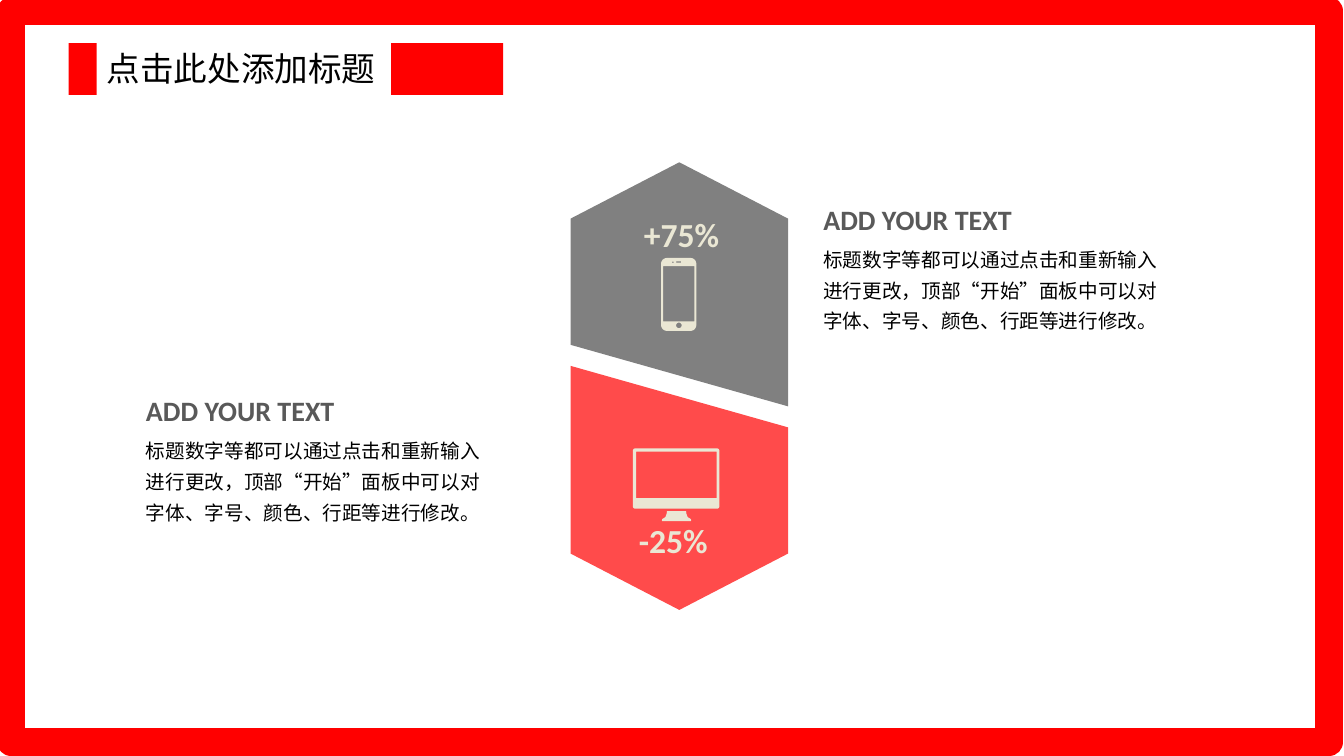
from math import cos, pi, sin

from lxml import etree
from pptx import Presentation
from pptx import util as u
from pptx.dml.color import RGBColor
from pptx.enum import shapes, text
from pptx.oxml import ns

RED = RGBColor(0xFF, 0, 0)
CORAL = RGBColor(0xFF, 0x4B, 0x4B)
GRAY = RGBColor(0x80, 0x80, 0x80)
DARK = RGBColor(0x59, 0x59, 0x59)
CREAM = RGBColor(0xEA, 0xE7, 0xD4)
BLACK = RGBColor(0, 0, 0)
CJK, LATIN = "Noto Sans CJK SC", "Calibri"

# Content; all lengths are in centimetres
TITLE = "点击此处添加标题"
HEADING = "ADD YOUR TEXT"
BODY = ("标题数字等都可以通过点击和重新输入进行更改，"
        "顶部“开始”面板中可以对字体、字号、颜色、行距等进行修改。")
BLOCKS = [(3.43, 9.8, 9.22), (20.5, 4.98, 9.3)]  # left, top, body width
PERCENTS = [("+75%", 15.98, 5.26, 2.44), ("-25%", 15.85, 12.98, 2.26)]
TITLE_BARS = [(1.73, 0.71), (9.86, 2.82)]  # left, width

TITLE_FMT = dict(name=CJK, size=u.Pt(24), color=BLACK)
HEADING_FMT = dict(name=LATIN, size=u.Pt(20), bold=True, color=DARK)
BODY_FMT = dict(name=CJK, size=u.Pt(14), color=BLACK)
PERCENT_FMT = dict(name=LATIN, size=u.Pt(24), bold=True, color=CREAM)

# Hexagon half; the other half is its point reflection
CENTER_X, CENTER_Y = 17.12, 9.73
UPPER_HALF = [(17.12, 4.09), (19.86, 5.51), (19.86, 10.24),
              (14.38, 8.69), (14.38, 5.51)]

# Right side of the monitor stand, as offsets from its axis
STAND_X = 17.05
STAND_SIDE = [(0.24, 12.88), (0.25, 12.95), (0.28, 13.03),
              (0.36, 13.08), (0.37, 13.11), (0.36, 13.13)]

prs = Presentation()
prs.slide_width, prs.slide_height = u.Cm(33.87), u.Cm(19.05)
s = prs.slides.add_slide(prs.slide_layouts[6])


def add_rect(x, y, w, h):
    sp = s.shapes.add_shape(shapes.MSO_SHAPE.RECTANGLE, *map(u.Cm, (x, y, w, h)))
    sp.shadow.inherit = False
    return sp


def paint(sp, color):
    sp.fill.solid()
    sp.fill.fore_color.rgb = color
    sp.line.fill.background()


def add_outline(contours, color):
    first, *holes = [[(u.Cm(x), u.Cm(y)) for x, y in c] for c in contours]
    builder = s.shapes.build_freeform(*first[0])
    builder.add_line_segments(first[1:], close=True)
    for hole in holes:
        builder.move_to(*hole[0])
        builder.add_line_segments(hole[1:], close=True)
    sp = builder.convert_to_shape()
    sp.shadow.inherit = False
    paint(sp, color)


def rounded(x, y, w, h, radius=0.0, steps=6):
    """Points of a rectangle with round corners."""
    if not radius:
        return [(x, y), (x + w, y), (x + w, y + h), (x, y + h)]
    corners = [(x + w - radius, y + h - radius), (x + radius, y + h - radius),
               (x + radius, y + radius), (x + w - radius, y + radius)]
    return [(cx + radius * cos(a), cy + radius * sin(a))
            for i, (cx, cy) in enumerate(corners)
            for a in ((i + k / steps) * pi / 2 for k in range(steps + 1))]


def circle(cx, cy, r):
    return rounded(cx - r, cy - r, 2 * r, 2 * r, r)


def add_text(content, x, y, w, h, fmt, wrap=False, spacing=None):
    tf = s.shapes.add_textbox(*map(u.Cm, (x, y, w, h))).text_frame
    tf.word_wrap = wrap
    tf.auto_size = text.MSO_AUTO_SIZE.SHAPE_TO_FIT_TEXT
    p = tf.paragraphs[0]
    if spacing:
        p.line_spacing = spacing
    r = p.add_run()
    r.text = content
    for key, value in fmt.items():
        if key == "color":
            r.font.color.rgb = value
        else:
            setattr(r.font, key, value)
    ea = etree.SubElement(r.font._element, ns.qn("a:ea"))
    ea.set("typeface", fmt["name"])


# Frame
frame = add_rect(0.28, 0.28, 33.22, 18.42)
frame.fill.background()
frame.line.color.rgb = RED
frame.line.width = u.Pt(20)

# Title
for left, width in TITLE_BARS:
    paint(add_rect(left, 1.09, width, 1.3), RED)
add_text(TITLE, 2.44, 1.09, 7.32, 1.27, TITLE_FMT, wrap=True)

# Hexagon halves
add_outline([UPPER_HALF], GRAY)
add_outline([[(2 * CENTER_X - x, 2 * CENTER_Y - y) for x, y in UPPER_HALF]], CORAL)

# Text blocks and percentages
for left, top, width in BLOCKS:
    add_text(HEADING, left, top, 5.28, 1.12, HEADING_FMT)
    add_text(BODY, left, top + 0.97, width, 2.59, BODY_FMT, wrap=True, spacing=1.3)
for label, left, top, width in PERCENTS:
    add_text(label, left, top, width, 1.27, PERCENT_FMT)

# Phone: body, screen, speaker, camera, button
add_outline([rounded(16.66, 6.5, 0.89, 1.84, 0.15),
             rounded(16.71, 6.71, 0.79, 1.39),
             rounded(17.04, 6.59, 0.13, 0.03),
             circle(16.96, 6.61, 0.02),
             circle(17.11, 8.2, 0.07)], CREAM)

# Monitor and stand
add_outline([rounded(15.95, 11.3, 2.18, 1.52, 0.06),
             rounded(16.03, 11.38, 2.03, 1.17)], CREAM)
add_outline([[(STAND_X + dx, y) for dx, y in STAND_SIDE]
             + [(STAND_X - dx, y) for dx, y in reversed(STAND_SIDE)]], CREAM)

prs.save("out.pptx")
